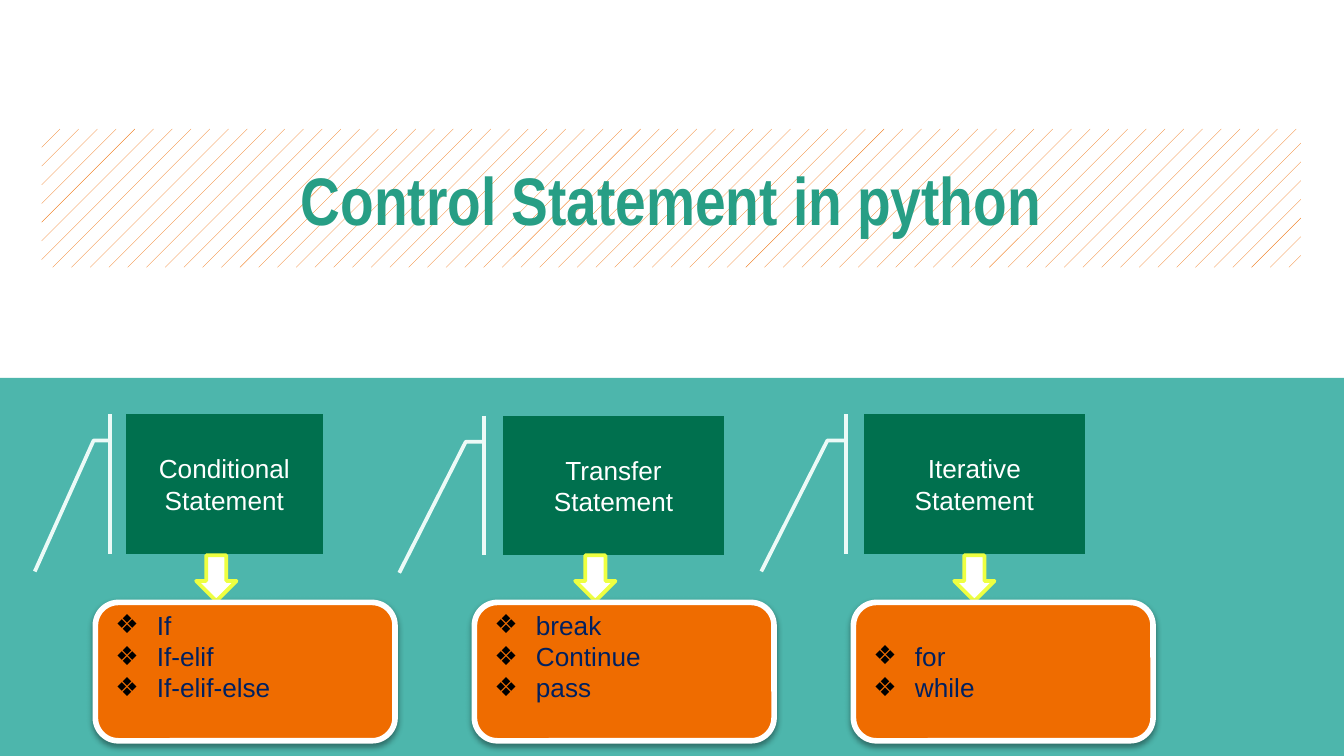
from dataclasses import dataclass

from lxml.etree import SubElement
from pptx import Presentation
from pptx.dml.color import RGBColor
from pptx.enum.dml import MSO_PATTERN
from pptx.enum.shapes import MSO_SHAPE
from pptx.enum.text import MSO_ANCHOR, MSO_AUTO_SIZE, PP_ALIGN
from pptx.oxml import parse_xml
from pptx.oxml.ns import nsdecls, qn
from pptx.util import Inches, Pt

WHITE = RGBColor(0xFF, 0xFF, 0xFF)
TEAL = RGBColor(0x4D, 0xB6, 0xAC)
TITLE_GREEN = RGBColor(0x27, 0x9E, 0x85)
DARK_GREEN = RGBColor(0x00, 0x70, 0x4E)
PALE_GREEN = RGBColor(0xEC, 0xFA, 0xF7)
ORANGE = RGBColor(0xEF, 0x6C, 0x00)
YELLOW = RGBColor(0xEE, 0xFF, 0x41)
NAVY = RGBColor(0x00, 0x20, 0x60)

PAGE_WIDTH = 10
PAGE_HEIGHT = PAGE_WIDTH * 9 / 16
FIRST_COLUMN, COLUMN_STEP, COLUMN_WIDTH = 0.71, 2.82, 2.23
BULLET_INDENT = Inches(0.31)

COLUMNS = [
    ("Conditional Statement", 0.23, 0.27, 1.46, ["If", "If-elif", "If-elif-else"], 0.28),
    ("Transfer Statement", 0.21, 0.28, 1.65, ["break", "Continue", "pass"], 0.28),
    ("Iterative Statement", 0.08, 0.27, 1.64, ["for", "while"], 0.05),
]


@dataclass
class Box:
    left: float
    top: float
    width: float
    height: float

    def inner(self, left, top, width, height):
        return Box(self.left + left, self.top + top, width, height)

    def lengths(self):
        return [Inches(n) for n in (self.left, self.top, self.width, self.height)]


def add_figure(page, kind, box, fill, line=None, line_width=0):
    figure = page.shapes.add_shape(kind, *box.lengths())
    figure.shadow.inherit = False
    figure.fill.solid()
    figure.fill.fore_color.rgb = fill
    if line is None:
        figure.line.fill.background()
    else:
        figure.line.color.rgb = line
        figure.line.width = Pt(line_width)
    return figure


def add_span(para, text, size, font, color, bold=False):
    span = para.add_run()
    span.text = text
    span.font.size = Pt(size)
    span.font.name = font
    span.font.bold = bold
    span.font.color.rgb = color


def add_bullet(para):
    properties = para._p.get_or_add_pPr()
    properties.set("marL", str(BULLET_INDENT))
    properties.set("indent", str(-BULLET_INDENT))
    color = SubElement(properties, qn("a:buClr"))
    SubElement(color, qn("a:srgbClr"), val="000000")
    SubElement(properties, qn("a:buFont"), typeface="Arial")
    SubElement(properties, qn("a:buChar"), char="❖")


def add_soft_shadow(figure):
    effects = figure._element.spPr.find(qn("a:effectLst"))
    effects.append(parse_xml(
        f'<a:outerShdw {nsdecls("a")} blurRad="{Pt(3.1)}" dist="{Pt(1.6)}" '
        'dir="5400000" rotWithShape="0"><a:srgbClr val="000000">'
        '<a:alpha val="38000"/></a:srgbClr></a:outerShdw>'))


def place_title(page, box):
    title = page.shapes.title
    title.left, title.top, title.width, title.height = box.lengths()
    title.fill.patterned()
    title.fill.pattern = MSO_PATTERN.PERCENT_5
    title.fill.fore_color.rgb = ORANGE
    title.fill.back_color.rgb = WHITE
    frame = title.text_frame
    frame.word_wrap = True
    frame.auto_size = MSO_AUTO_SIZE.NONE
    frame.vertical_anchor = MSO_ANCHOR.MIDDLE
    frame.margin_left = frame.margin_right = Inches(0.1)
    frame.margin_top = frame.margin_bottom = Inches(0.1)
    para = frame.paragraphs[0]
    para.alignment = PP_ALIGN.CENTER
    add_span(para, "Control Statement in python", 36, "Arial Narrow", TITLE_GREEN, True)


def place_callout(page, box, text):
    callout = add_figure(page, MSO_SHAPE.LINE_CALLOUT_2_ACCENT_BAR, box,
                         DARK_GREEN, PALE_GREEN, 2)
    callout.text_frame.vertical_anchor = MSO_ANCHOR.MIDDLE
    para = callout.text_frame.paragraphs[0]
    para.alignment = PP_ALIGN.CENTER
    add_span(para, text, 14, "Arial", WHITE)


def place_keywords(page, box, keywords, bottom_margin):
    card = add_figure(page, MSO_SHAPE.ROUNDED_RECTANGLE, box, ORANGE, WHITE, 3)
    add_soft_shadow(card)
    frame = card.text_frame
    frame.vertical_anchor = MSO_ANCHOR.MIDDLE
    frame.margin_bottom = Inches(bottom_margin)
    for index, keyword in enumerate(keywords):
        para = frame.paragraphs[0] if index == 0 else frame.add_paragraph()
        para.alignment = PP_ALIGN.LEFT
        add_bullet(para)
        add_span(para, keyword, 14, "Arial", NAVY)


def place_column(page, box, column):
    name, offset, drop, width, keywords, bottom_margin = column
    place_callout(page, box.inner(offset, drop, width, 1.04), name)
    add_figure(page, MSO_SHAPE.DOWN_ARROW, box.inner(0.75, 1.32, 0.3, 0.34),
               WHITE, YELLOW, 2)
    place_keywords(page, box.inner(0, 1.67, box.width, 1.03), keywords, bottom_margin)


def main():
    deck = Presentation()
    deck.slide_width, deck.slide_height = Inches(PAGE_WIDTH), Inches(PAGE_HEIGHT)
    page = deck.slides.add_slide(deck.slide_layouts[5])
    page.background.fill.solid()
    page.background.fill.fore_color.rgb = WHITE
    band = Box(0, PAGE_HEIGHT / 2, PAGE_WIDTH, PAGE_HEIGHT / 2)
    add_figure(page, MSO_SHAPE.RECTANGLE, band, TEAL)
    place_title(page, Box(0.31, 0.96, 9.37, 1.03))
    for index, column in enumerate(COLUMNS):
        left = FIRST_COLUMN + index * COLUMN_STEP
        place_column(page, band.inner(left, 0, COLUMN_WIDTH, band.height), column)
    deck.save("out.pptx")


if __name__ == "__main__":
    main()
